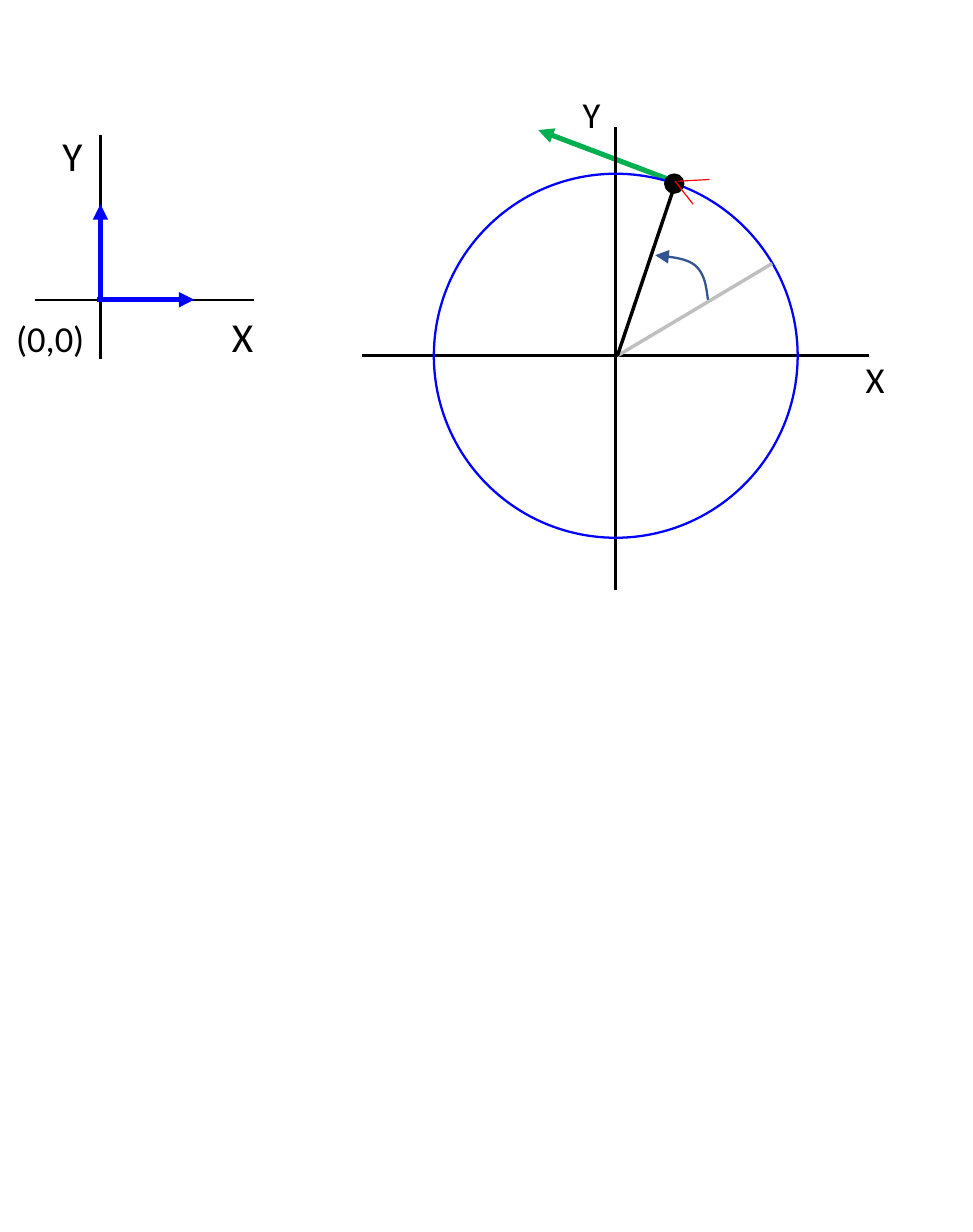
"""Draw a pair of axes beside a circle with a turning radius and its tangent."""
import pptx
import pptx.util
import pptx.dml.color
import pptx.enum.shapes
import pptx.enum.text
import pptx.oxml

RGB = pptx.dml.color.RGBColor
BLACK = RGB(0, 0, 0)
BLUE = RGB(0, 0, 255)
GREEN = RGB(0, 0xB0, 0x50)
GREY = RGB(0xBF, 0xBF, 0xBF)
RED = RGB(255, 0, 0)
NAVY = RGB(0x32, 0x54, 0x91)

WIDE, HIGH = 59.1, 74.8
CELL = pptx.util.Inches(0.1)
FONT = "Calibri"

ZERO = (6.1, 18.2)
HUB = (37.4, 21.6)
FOOT = (37.5, 21.6)
DOT = (40.95, 11.15)
RING, SPOT = 11.05, 0.55

TANGENT = [((40.9, 11), (32.7, 7.9), GREEN, 2.25, True)]
AXES = [
    ((ZERO[0], 8.2), (ZERO[0], 21.8), BLACK, 1, False),
    ((2.1, ZERO[1]), (15.4, ZERO[1]), BLACK, 1, False),
    ((5.9, ZERO[1]), (11.8, ZERO[1]), BLUE, 2.25, True),
    (ZERO, (ZERO[0], 12.4), BLUE, 2.25, True),
    ((22, HUB[1]), (52.8, HUB[1]), BLACK, 1.5, False),
    ((HUB[0], 35.8), (HUB[0], 7.7), BLACK, 1.5, False),
]
SPOKES = [
    (FOOT, (46.9, 16), GREY, 1.5, False),
    (FOOT, (41, 11.2), BLACK, 1.5, False),
    ((41.2, 11), (43.1, 10.9), RED, 0.5, False),
    ((41, 11), (42.1, 12.4), RED, 0.5, False),
]
ROUNDS = [(HUB, RING, BLUE, False), (DOT, SPOT, BLACK, True)]
TURN = [
    ((43, 18.2), (42.9, 17.4), (42.8, 16.6), (42.2, 16.1)),
    ((42.2, 16.1), (41.7, 15.7), (40.8, 15.6), (39.8, 15.5)),
]
STEPS = 12
LABELS = [
    ("X", 13.1, 18.4, 3.3, 4, 18, False),
    ("Y", 2.8, 7.4, 3.2, 4, 18, False),
    ("X", 51.6, 21.2, 3.2, 3.7, 16, False),
    ("Y", 34.4, 5.1, 3.2, 3.7, 16, False),
    ("(0,0)", 0, 18.7, 6.2, 3.7, 16, False),
]


def emu(*cells):
    return [round(cell * CELL) for cell in cells]


def style(line, color, size, arrow=False):
    line.color.rgb = color
    line.width = pptx.util.Pt(size)
    if arrow:
        tag = pptx.oxml.ns.qn("a:tailEnd")
        tail = line._get_or_add_ln().makeelement(tag, {"type": "triangle"})
        line._get_or_add_ln().append(tail)


def draw_line(shapes, start, end, color, size, arrow):
    kind = pptx.enum.shapes.MSO_CONNECTOR.STRAIGHT
    link = shapes.add_connector(kind, *emu(*start, *end))
    style(link.line, color, size, arrow)
    props = link._element.spPr
    props.append(props.makeelement(pptx.oxml.ns.qn("a:effectLst"), {}))


def draw_round(shapes, mid, radius, color, solid):
    kind = pptx.enum.shapes.MSO_SHAPE.OVAL
    box = emu(mid[0] - radius, mid[1] - radius, 2 * radius, 2 * radius)
    disc = shapes.add_shape(kind, *box)
    disc.shadow.inherit = False
    if solid:
        disc.fill.solid()
        disc.fill.fore_color.rgb = color
    else:
        disc.fill.background()
    style(disc.line, color, 1)


def bend(curve, t):
    shares = ((1 - t) ** 3, 3 * t * (1 - t) ** 2, 3 * t * t * (1 - t), t ** 3)
    return emu(*(sum(s * p[axis] for s, p in zip(shares, curve)) for axis in (0, 1)))


def draw_turn(shapes):
    points = [bend(curve, i / STEPS) for curve in TURN for i in range(1, STEPS + 1)]
    pen = shapes.build_freeform(*emu(*TURN[0][0]))
    pen.add_line_segments(points, close=False)
    arc = pen.convert_to_shape()
    arc.shadow.inherit = False
    arc.fill.background()
    style(arc.line, NAVY, 1, True)


def draw_label(shapes, text, left, top, width, height, size, wrap):
    frame = shapes.add_textbox(*emu(left, top, width, height)).text_frame
    frame.word_wrap = wrap
    frame.auto_size = pptx.enum.text.MSO_AUTO_SIZE.SHAPE_TO_FIT_TEXT
    frame.text = text
    font = frame.paragraphs[0].runs[0].font
    font.name = FONT
    font.size = pptx.util.Pt(size)
    font.color.rgb = BLACK


def main():
    deck = pptx.Presentation()
    deck.slide_width, deck.slide_height = emu(WIDE, HIGH)
    shapes = deck.slides.add_slide(deck.slide_layouts[6]).shapes
    for line in TANGENT + AXES:
        draw_line(shapes, *line)
    for disc in ROUNDS:
        draw_round(shapes, *disc)
    for line in SPOKES:
        draw_line(shapes, *line)
    draw_turn(shapes)
    for label in LABELS:
        draw_label(shapes, *label)
    deck.save("out.pptx")


if __name__ == "__main__":
    main()
